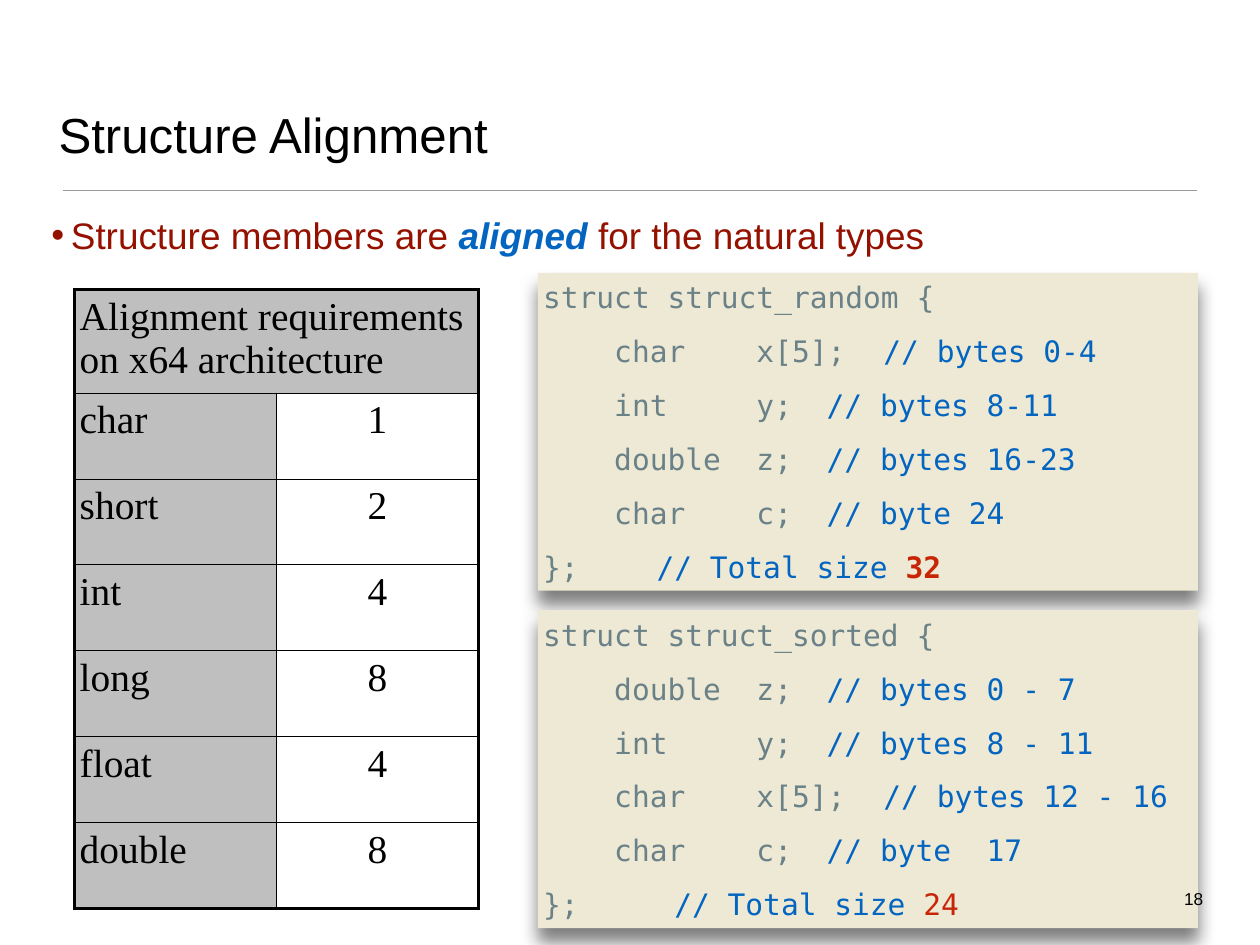
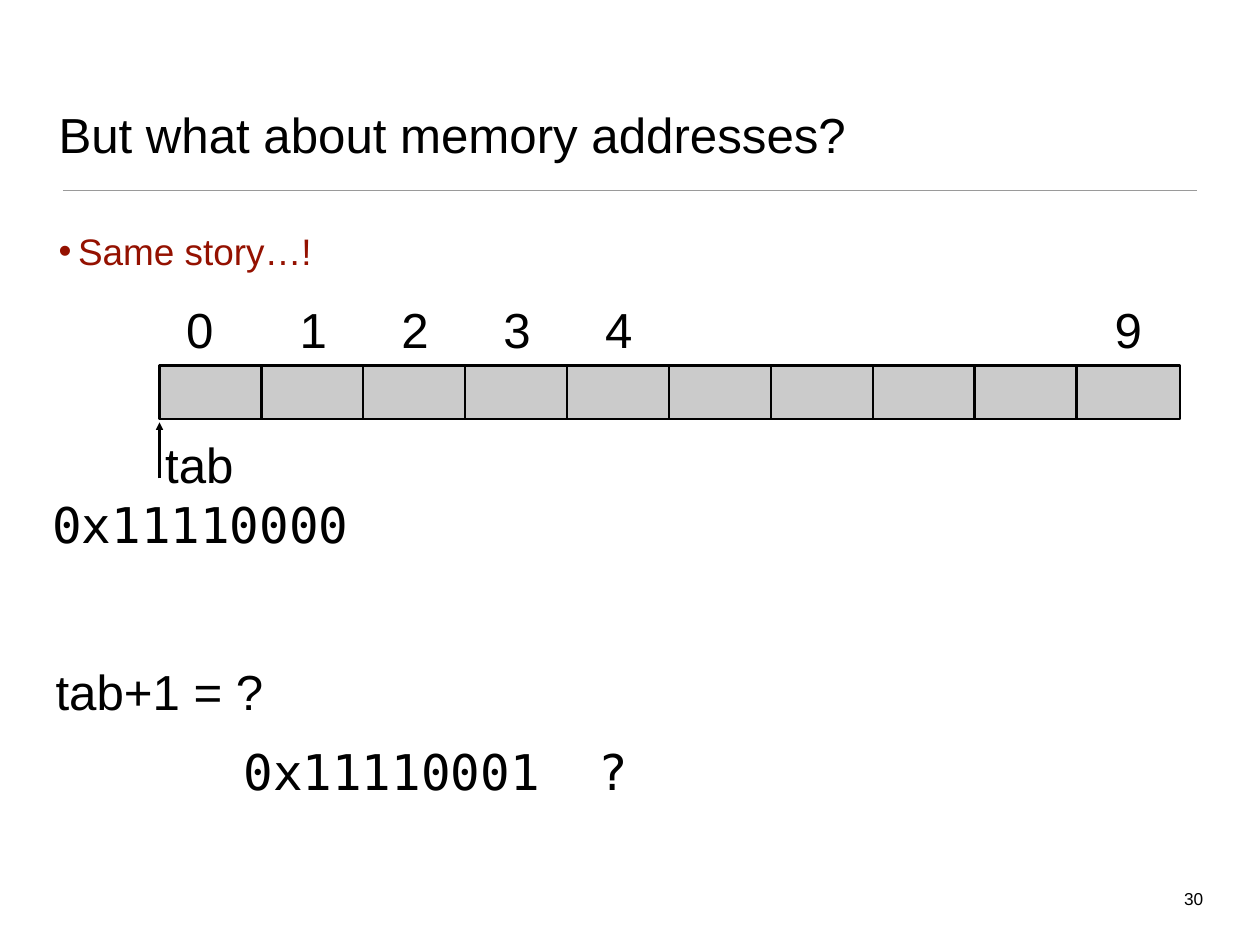
"""Build two slides on structure alignment and memory addresses."""
from dataclasses import dataclass

from lxml import etree
from pptx import Presentation
from pptx.dml.color import RGBColor
from pptx.enum import shapes, text
from pptx.oxml.ns import qn
from pptx.util import Inches, Pt


@dataclass(frozen=True)
class Theme:
    """Colours, fonts and type sizes of the deck."""
    ink: str = "000000"
    paper: str = "FFFFFF"
    rule: str = "9A9A9A"
    bullet: str = "941100"
    accent: str = "0365C0"
    code: str = "6A8188"
    total: str = "C82506"
    panel: str = "EEE9D4"
    memory: str = "CBCBCB"
    header: str = "BFBFBF"
    sans: str = "Arial"
    mono: str = "DejaVu Sans Mono"
    serif: str = "Times New Roman"
    title_size: int = 40
    table_size: int = 32
    body_size: int = 30
    code_size: int = 24
    number_size: int = 14


T = Theme()
TITLE = dict(name=T.sans, size=T.title_size, color=T.ink)
BODY = dict(name=T.sans, size=T.body_size, color=T.bullet)
EMPHASIS = dict(BODY, color=T.accent, bold=True, italic=True)
CODE = dict(name=T.mono, size=T.code_size, color=T.code)
COMMENT = dict(CODE, color=T.accent)
TOTAL = dict(CODE, color=T.total)
TABLE = dict(name=T.serif, size=T.table_size, color=T.ink)
ADDRESS = dict(TITLE, name=T.mono)
NUMBER = dict(TITLE, size=T.number_size)

ALIGNMENT = dict(
    title="Structure Alignment", number="18", body_at=(0.54, 2.36, 12.97, 7.18),
    body=[("Structure members are ", BODY), ("aligned ", EMPHASIS),
          ("for the natural types", BODY)])
ADDRESSES = dict(
    title="But what about memory addresses?", number="30",
    body_at=(0.62, 2.54, 12.97, 0.63), body=[("Same story…!", BODY)])

REQUIREMENTS_HEAD = "Alignment requirements on x64 architecture"
REQUIREMENTS = [("char", "1"), ("short", "2"), ("int", "4"),
                ("long", "8"), ("float", "4"), ("double", "8")]

STRUCTS = [
    [[("struct struct_random {", CODE)],
     [("    char    x[5];", CODE), ("\t// bytes 0-4", COMMENT)],
     [("    int     y;", CODE), ("\t// bytes 8-11", COMMENT)],
     [("    double  z;", CODE), ("\t// bytes 16-23", COMMENT)],
     [("    char    c;", CODE), ("\t// byte 24", COMMENT)],
     [("};\t", CODE), ("\t// Total size ", COMMENT), ("32", dict(TOTAL, bold=True))]],
    [[("struct struct_sorted {", CODE)],
     [("    double  z;", CODE), ("\t// bytes 0 - 7", COMMENT)],
     [("    int     y;", CODE), ("\t// bytes 8 - 11", COMMENT)],
     [("    char    x[5];", CODE), ("\t// bytes 12 - 16", COMMENT)],
     [("    char    c;", CODE), ("\t// byte  17", COMMENT)],
     [("};\t", CODE), ("\t // Total size ", COMMENT), ("24", TOTAL)]],
]

CELLS, CELL_PITCH = 10, 1.15
CELL_LABELS = {0: 2.04, **{i: 2.17 + CELL_PITCH * i for i in (1, 2, 3, 4, 9)}}
CAPTIONS = [("tab", TITLE, (1.8, 4.85, 0.9, 0.78)),
            ("0x11110000", ADDRESS, (0.41, 5.53, 3.7, 0.78)),
            ("tab+1 = ?", TITLE, (0.5, 7.41, 2.6, 0.78)),
            ("0x11110001  ?", ADDRESS, (2.57, 8.31, 4.7, 0.78))]


def box(*lengths):
    return [Inches(length) for length in lengths]


def sub(parent, tag, **attributes):
    child = etree.SubElement(parent, qn(tag))
    for key, value in attributes.items():
        child.set(key, str(value))
    return child


def paint(fill, color):
    fill.solid()
    fill.fore_color.rgb = RGBColor.from_string(color)


def write(paragraph, runs, before=0, align=text.PP_ALIGN.LEFT):
    paragraph.alignment = align
    paragraph.space_before = Pt(before)
    for words, style in runs:
        run = paragraph.add_run()
        run.text = words
        for key, value in style.items():
            if key == "color":
                run.font.color.rgb = RGBColor.from_string(value)
            else:
                setattr(run.font, key, Pt(value) if key == "size" else value)


def set_frame(frame, margin, **settings):
    margins = {f"margin_{side}": Inches(margin) for side in ("left", "top", "right", "bottom")}
    for key, value in {**margins, **settings}.items():
        setattr(frame, key, value)


def place(placeholder, at):
    for key, value in zip(("left", "top", "width", "height"), box(*at)):
        setattr(placeholder, key, value)


def add_line(slide, start, end, color, width):
    line = slide.shapes.add_connector(shapes.MSO_CONNECTOR.STRAIGHT, *box(*start, *end))
    line.line.width = Pt(width)
    paint(line.line.fill, color)
    sub(line._element.spPr, "a:effectLst")
    return line


def add_rectangle(slide, at, fill):
    rectangle = slide.shapes.add_shape(shapes.MSO_SHAPE.RECTANGLE, *box(*at))
    rectangle.shadow.inherit = False
    paint(rectangle.fill, fill)
    return rectangle


def add_label(slide, words, style, at, margin=0.06, align=text.PP_ALIGN.CENTER,
              anchor=text.MSO_ANCHOR.MIDDLE):
    frame = slide.shapes.add_textbox(*box(*at)).text_frame
    set_frame(frame, margin, word_wrap=False, vertical_anchor=anchor,
              auto_size=text.MSO_AUTO_SIZE.SHAPE_TO_FIT_TEXT)
    write(frame.paragraphs[0], [(words, style)], align=align)


def start_slide(deck, content):
    slide = deck.slides.add_slide(deck.slide_layouts[1])
    title, body = slide.placeholders
    for holder, at, anchor in (
            (title, (0.62, 0.36, 12.97, 1.53), text.MSO_ANCHOR.BOTTOM),
            (body, content["body_at"], text.MSO_ANCHOR.TOP)):
        place(holder, at)
        set_frame(holder.text_frame, 0.04, word_wrap=True, vertical_anchor=anchor,
                  auto_size=text.MSO_AUTO_SIZE.NONE)
    write(title.text_frame.paragraphs[0], [(content["title"], TITLE)])
    bullet = body.text_frame.paragraphs[0]
    write(bullet, content["body"], before=15)
    properties = bullet._p.get_or_add_pPr()
    properties.set("marL", str(Inches(0.22)))
    properties.set("indent", str(Inches(-0.22)))
    sub(properties, "a:buChar", char="•")
    add_line(slide, (0.71, 2.15), (13.51, 2.15), T.rule, 1)
    return slide


def add_page_number(slide, content):
    add_label(slide, content["number"], NUMBER, (13.31, 9.99, 0.31, 0.3), 0.04,
              text.PP_ALIGN.RIGHT, text.MSO_ANCHOR.TOP)


def add_struct(slide, lines, top):
    panel = add_rectangle(slide, (6.07, top, 7.45, 3.59), T.panel)
    panel.line.fill.background()
    shadow = sub(panel._element.spPr.find(qn("a:effectLst")), "a:outerShdw",
                 blurRad=Pt(14), dist=Pt(11), dir=90 * 60000, rotWithShape=0)
    sub(sub(shadow, "a:srgbClr", val=T.ink), "a:alpha", val=50000)
    frame = panel.text_frame
    set_frame(frame, 0.06, word_wrap=True, vertical_anchor=text.MSO_ANCHOR.MIDDLE,
              auto_size=text.MSO_AUTO_SIZE.SHAPE_TO_FIT_TEXT)
    for i, runs in enumerate(lines):
        paragraph = frame.add_paragraph() if i else frame.paragraphs[0]
        write(paragraph, runs, before=15)
        stops = sub(paragraph._p.get_or_add_pPr(), "a:tabLst")
        for stop in range(1, 7):
            sub(stops, "a:tab", pos=Inches(0.64 * stop), algn="l")


def format_cell(cell, words, fill, align, edges):
    set_frame(cell, 0.06, vertical_anchor=text.MSO_ANCHOR.TOP)
    write(cell.text_frame.paragraphs[0], [(words, TABLE)], before=7, align=align)
    properties = cell._tc.get_or_add_tcPr()
    for side, outer in edges.items():
        border = sub(properties, f"a:ln{side}", w=Pt(2.25 if outer else 1))
        sub(sub(border, "a:solidFill"), "a:srgbClr", val=T.ink)
    paint(cell.fill, fill)


def add_requirements(slide):
    count = len(REQUIREMENTS) + 1
    grid = slide.shapes.add_table(count, 2, *box(0.84, 3.27, 4.56, 6.99)).table
    grid.first_row = grid.horz_banding = False
    for column in grid.columns:
        column.width = Inches(2.28)
    for i, row in enumerate(grid.rows):
        row.height = Inches(0.97 if i else 1.17)
    grid.cell(0, 0).merge(grid.cell(0, 1))
    for r, row in enumerate([(REQUIREMENTS_HEAD, "")] + REQUIREMENTS):
        for c, words in enumerate(row):
            is_value = r > 0 and c == 1
            format_cell(grid.cell(r, c), words, T.paper if is_value else T.header,
                        text.PP_ALIGN.CENTER if is_value else text.PP_ALIGN.LEFT,
                        dict(L=c == 0, R=c == 1 or r == 0, T=r == 0, B=r == count - 1))


def build_alignment(deck):
    slide = start_slide(deck, ALIGNMENT)
    add_requirements(slide)
    for i, lines in enumerate(STRUCTS):
        add_struct(slide, lines, 3.08 + 3.81 * i)
    add_page_number(slide, ALIGNMENT)


def build_addresses(deck):
    slide = start_slide(deck, ADDRESSES)
    for i in range(CELLS):
        cell = add_rectangle(slide, (1.8 + CELL_PITCH * i, 4.13, 1.17, 0.6), T.memory)
        cell.line.width = Pt(2)
        paint(cell.line.fill, T.ink)
    for index, left in CELL_LABELS.items():
        add_label(slide, str(index), TITLE, (left, 3.32, 0.43, 0.78))
    pointer = add_line(slide, (1.8, 5.4), (1.8, 4.77), T.ink, 2)
    sub(pointer.line._get_or_add_ln(), "a:tailEnd", type="triangle")
    for words, style, at in CAPTIONS:
        add_label(slide, words, style, at)
    add_page_number(slide, ADDRESSES)


def main():
    deck = Presentation()
    deck.slide_width, deck.slide_height = box(14.22, 10.67)
    build_alignment(deck)
    build_addresses(deck)
    deck.save("out.pptx")


if __name__ == "__main__":
    main()
